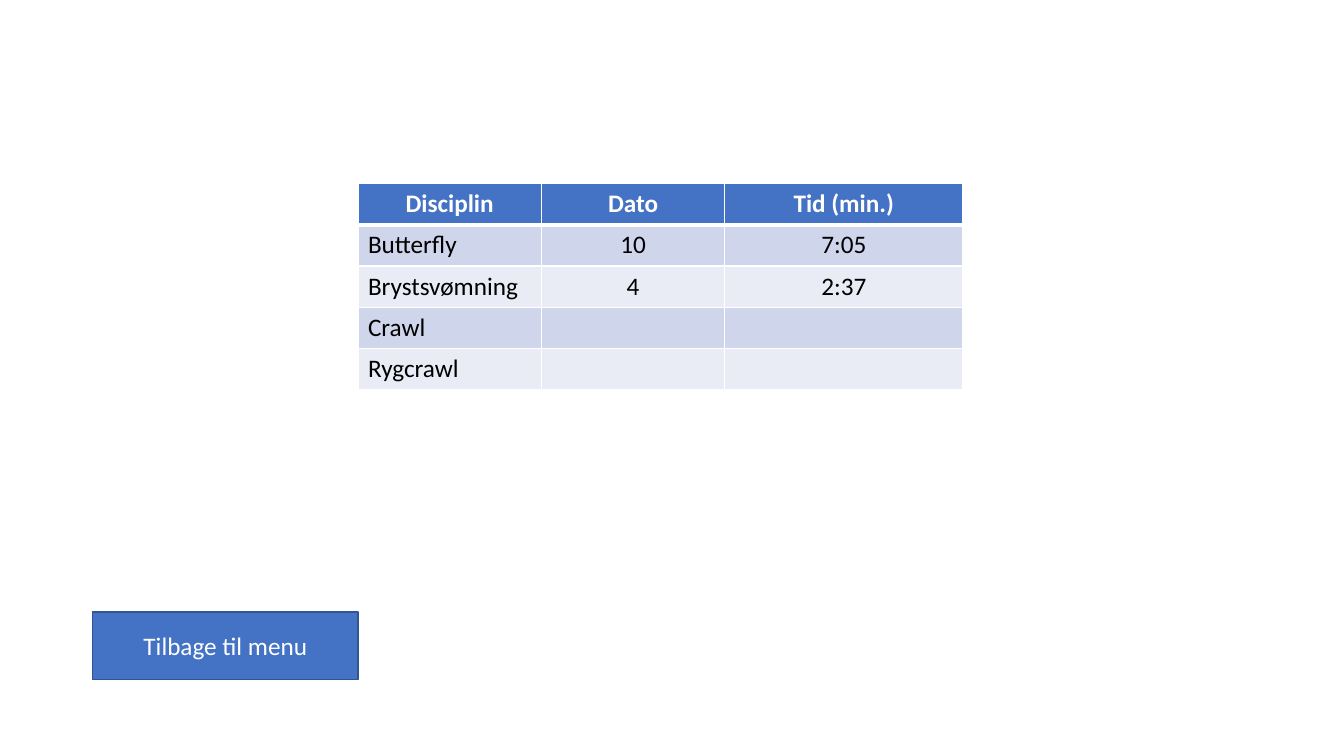
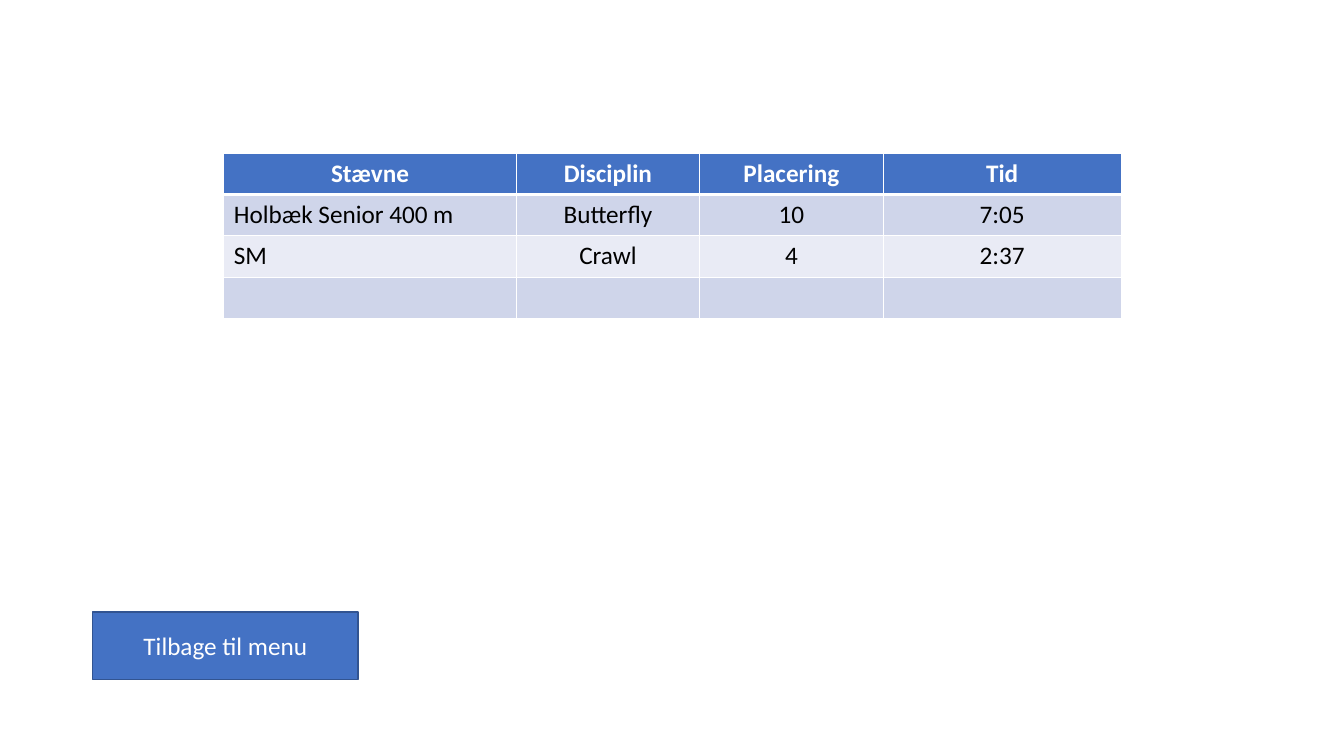
from lxml.etree import SubElement
from pptx import Presentation
from pptx.dml.color import RGBColor
from pptx.enum.shapes import MSO_SHAPE as SHAPE
from pptx.enum.text import MSO_ANCHOR as ANCHOR, PP_ALIGN as ALIGN
from pptx.oxml.ns import qn
from pptx.util import Inches, Pt

COLORS = {
    "accent": "4472C4",
    "outline": "325491",
    "odd_row": "CFD5EA",
    "even_row": "E9EBF5",
    "white": "FFFFFF",
    "black": "000000",
}
BLANK_LAYOUT = 6


def rgb(name):
    """Return the named palette colour."""
    return RGBColor.from_string(COLORS[name])


class Deck:
    """Holds the shared style and the current slide."""

    font = "Calibri"
    size = Pt(18)
    row_height = Inches(0.41)

    def __init__(self):
        """Start a widescreen presentation."""
        self.prs = Presentation()
        self.prs.slide_width = Inches(13.33)
        self.prs.slide_height = Inches(7.5)
        self.s = None

    def add_slide(self):
        """Add a blank slide and make it current."""
        self.s = self.prs.slides.add_slide(self.prs.slide_layouts[BLANK_LAYOUT])

    def set_text(self, tf, text, color, align, bold=False):
        """Put one formatted paragraph in a text frame."""
        tf.text = text
        p = tf.paragraphs[0]
        p.alignment = align
        for r in p.runs:
            r.font.name = self.font
            r.font.size = self.size
            r.font.bold = bold
            r.font.color.rgb = rgb(color)

    def menu_button(self):
        """Draw the button that leads back to the menu."""
        sp = self.s.shapes.add_shape(SHAPE.RECTANGLE, Inches(0.92), Inches(6.07),
                                     Inches(2.63), Inches(0.67))
        sp.shadow.inherit = False
        sp.fill.solid()
        sp.fill.fore_color.rgb = rgb("accent")
        sp.line.color.rgb = rgb("outline")
        sp.line.width = Pt(1)
        sp.text_frame.vertical_anchor = ANCHOR.MIDDLE
        self.set_text(sp.text_frame, "Tilbage til menu", "white", ALIGN.CENTER)

    def borders(self, cell, top, bottom):
        """Give a cell white borders, with its own top and bottom widths."""
        tc_pr = cell._tc.get_or_add_tcPr()
        for side, width in (("L", 1), ("R", 1), ("T", top), ("B", bottom)):
            ln = SubElement(tc_pr, qn(f"a:ln{side}"), w=str(Pt(width)))
            fill = SubElement(ln, qn("a:solidFill"))
            SubElement(fill, qn("a:srgbClr"), val=COLORS["white"])

    def table(self, left, top, widths, rows):
        """Draw a banded table with a header row."""
        frame = self.s.shapes.add_table(
            len(rows), len(widths), Inches(left), Inches(top),
            Inches(sum(widths)), self.row_height * len(rows))
        table = frame.table
        for column, width in zip(table.columns, widths):
            column.width = Inches(width)
        for i, row in enumerate(rows):
            table.rows[i].height = self.row_height
            header = i == 0
            fill = "accent" if header else "odd_row" if i % 2 else "even_row"
            for j, text in enumerate(row):
                cell = table.cell(i, j)
                self.borders(cell, 3 if i == 1 else 1, 3 if header else 1)
                cell.fill.solid()
                cell.fill.fore_color.rgb = rgb(fill)
                align = ALIGN.CENTER if header or j else ALIGN.LEFT
                self.set_text(cell.text_frame, text,
                              "white" if header else "black", align, header)


def build_times(deck):
    """Build the slide with times for each discipline."""
    deck.add_slide()
    deck.menu_button()
    deck.table(3.55, 1.82, [1.82, 1.82, 2.36], [
        ["Disciplin", "Dato", "Tid (min.)"],
        ["Butterfly", "10", "7:05"],
        ["Brystsvømning", "4", "2:37"],
        ["Crawl", "", ""],
        ["Rygcrawl", "", ""],
    ])


def build_meets(deck):
    """Build the slide with results from swim meets."""
    deck.add_slide()
    deck.table(2.22, 1.52, [2.9, 1.82, 1.82, 2.36], [
        ["Stævne", "Disciplin", "Placering", "Tid"],
        ["Holbæk Senior 400 m", "Butterfly", "10", "7:05"],
        ["SM", "Crawl", "4", "2:37"],
        ["", "", "", ""],
    ])
    deck.menu_button()


deck = Deck()
build_times(deck)
build_meets(deck)
deck.prs.save("out.pptx")
